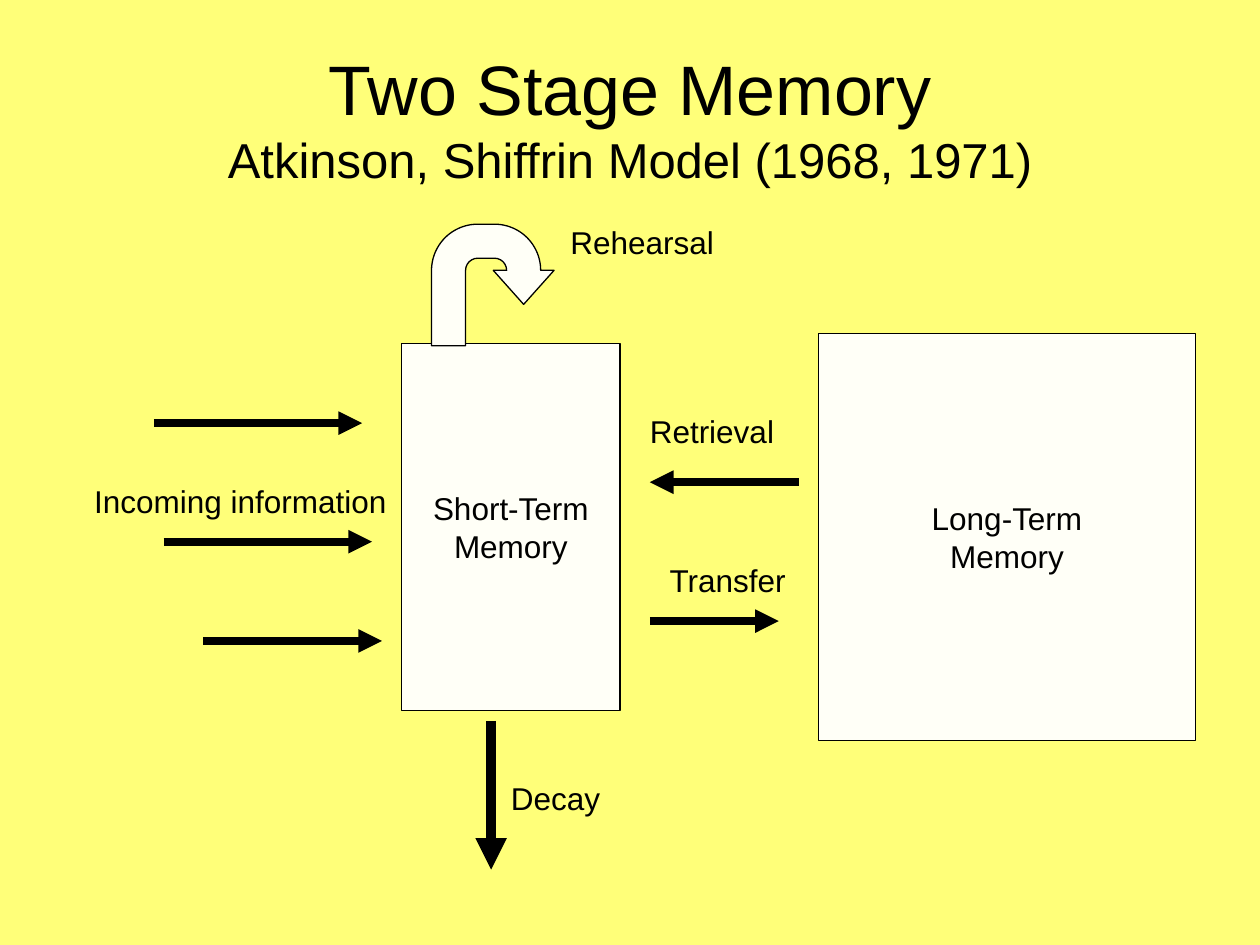
from lxml import etree
from pptx import Presentation
from pptx.dml.color import RGBColor
from pptx.enum import shapes, text
from pptx.oxml import ns
from pptx.util import Cm, Pt

BLACK, IVORY, YELLOW = "000000", "FFFFF7", "FFFF79"


def color(hex_value):
    return RGBColor.from_string(hex_value)


def add_text(paragraph, words, size=18, hue=BLACK, font="Arial", align=text.PP_ALIGN.LEFT):
    paragraph.alignment = align
    run = paragraph.add_run()
    run.text = words
    run.font.size = Pt(size)
    run.font.name = font
    run.font.color.rgb = color(hue)


def add_heading(slide, heading, subheading):
    title = slide.shapes.title
    title.left, title.top, title.width, title.height = Cm(1.27), Cm(0.76), Cm(22.86), Cm(3.18)
    frame = title.text_frame
    frame.auto_size = text.MSO_AUTO_SIZE.NONE
    frame.vertical_anchor = text.MSO_ANCHOR.MIDDLE
    line = frame.paragraphs[0]
    add_text(line, heading, size=40, align=text.PP_ALIGN.CENTER)
    line.add_line_break()
    add_text(line, subheading, size=28, align=text.PP_ALIGN.CENTER)


def add_outlined(slide, kind, left, top, width, height):
    outlined = slide.shapes.add_shape(kind, Cm(left), Cm(top), Cm(width), Cm(height))
    outlined.shadow.inherit = False
    outlined.fill.solid()
    outlined.fill.fore_color.rgb = color(IVORY)
    outlined.line.color.rgb = color(BLACK)
    outlined.line.width = Pt(0.75)
    return outlined


def add_store(slide, lines, *bounds):
    """Draw a memory store with one centred paragraph per line."""
    store = add_outlined(slide, shapes.MSO_SHAPE.RECTANGLE, *bounds)
    frame = store.text_frame
    frame.word_wrap = False
    frame.vertical_anchor = text.MSO_ANCHOR.MIDDLE
    for index, words in enumerate(lines):
        paragraph = frame.add_paragraph() if index else frame.paragraphs[0]
        add_text(paragraph, words, align=text.PP_ALIGN.CENTER)


def add_rehearsal_loop(slide):
    loop = add_outlined(slide, shapes.MSO_SHAPE.U_TURN_ARROW, 8.7, 4.52, 2.47, 2.45)
    shaft, head_half, head_length, bend, tip = 0.28, 0.25, 0.28, 0.43, 0.66
    for index, share in enumerate((shaft, head_half, head_length, bend, tip)):
        loop.adjustments[index] = share


def add_label(slide, words, left, top, width):
    label = slide.shapes.add_textbox(Cm(left), Cm(top), Cm(width), Cm(1.02))
    frame = label.text_frame
    frame.word_wrap = False
    frame.auto_size = text.MSO_AUTO_SIZE.SHAPE_TO_FIT_TEXT
    add_text(frame.paragraphs[0], words)


def add_arrow(slide, x1, y1, x2, y2, weight=4.5):
    arrow = slide.shapes.add_connector(
        shapes.MSO_CONNECTOR.STRAIGHT, Cm(x1), Cm(y1), Cm(x2), Cm(y2))
    arrow.line.color.rgb = color(BLACK)
    arrow.line.width = Pt(weight)
    etree.SubElement(arrow.line._get_or_add_ln(), ns.qn("a:tailEnd"), type="triangle")
    etree.SubElement(arrow._element.spPr, ns.qn("a:effectLst"))


def main():
    deck = Presentation()
    deck.slide_width, deck.slide_height = Cm(25.4), Cm(19.05)
    slide = deck.slides.add_slide(deck.slide_layouts.get_by_name("Title Only"))
    slide.background.fill.solid()
    slide.background.fill.fore_color.rgb = color(YELLOW)

    add_heading(slide, "Two Stage Memory", "Atkinson, Shiffrin Model (1968, 1971)")
    add_store(slide, ("Long-Term", "Memory"), 16.5, 6.72, 7.6, 8.21)
    add_store(slide, ("Short-Term", "Memory"), 8.1, 6.92, 4.4, 7.4)
    add_rehearsal_loop(slide)

    for start, end, height in ((3.1, 7.3, 8.53), (3.3, 7.5, 10.92), (4.1, 7.7, 12.92)):
        add_arrow(slide, start, height, end, height)
    add_arrow(slide, 16.1, 9.72, 13.1, 9.72)
    add_arrow(slide, 13.1, 12.52, 15.7, 12.52)
    add_arrow(slide, 9.9, 14.53, 9.9, 17.53, weight=6)

    for words, left, top, width in (
        ("Rehearsal", 11.25, 4.38, 3.5),
        ("Incoming information", 1.65, 9.59, 6.5),
        ("Retrieval", 12.85, 8.18, 3.1),
        ("Transfer", 13.25, 11.18, 2.95),
        ("Decay", 10.05, 15.57, 2.4),
    ):
        add_label(slide, words, left, top, width)

    deck.save("out.pptx")


if __name__ == "__main__":
    main()
